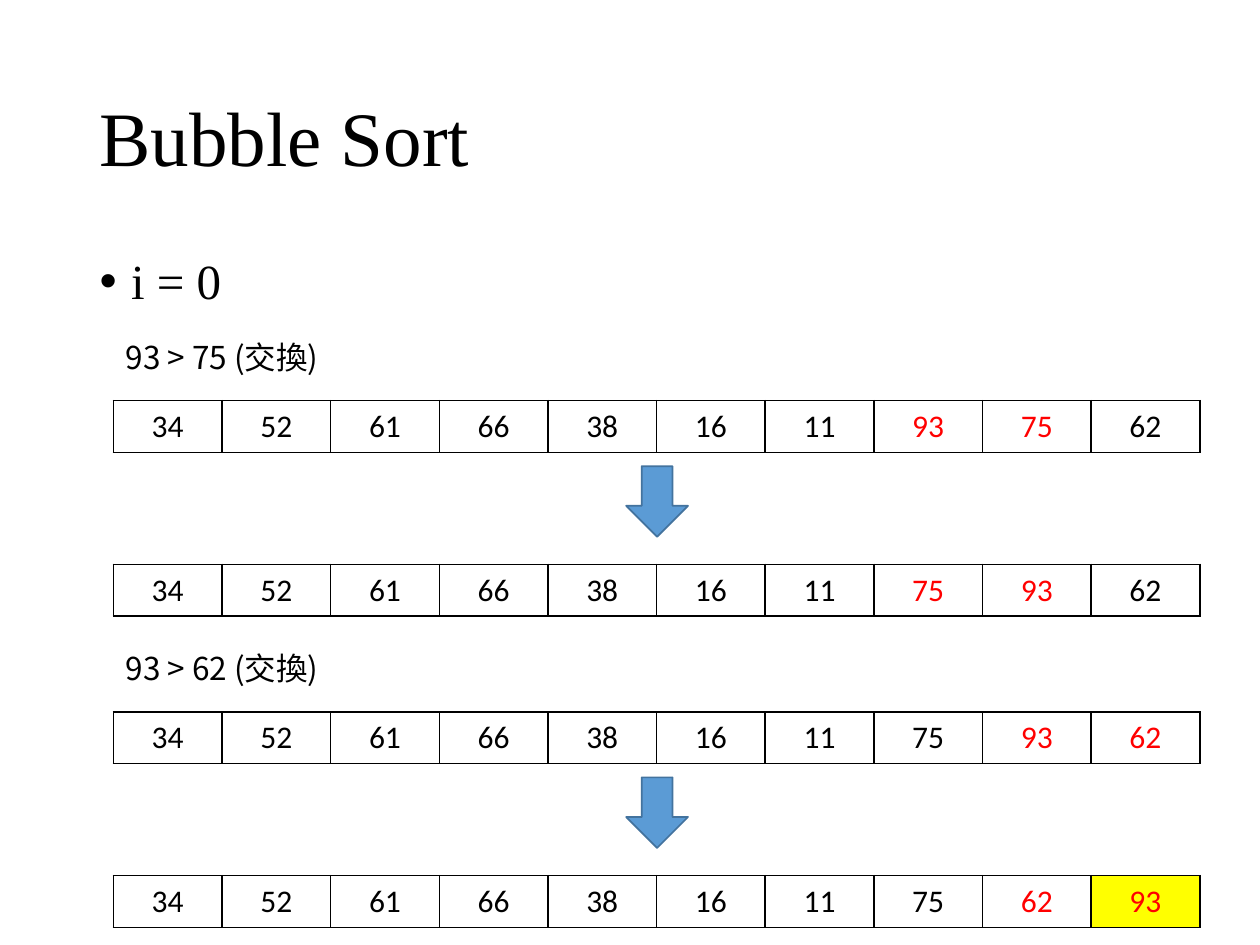
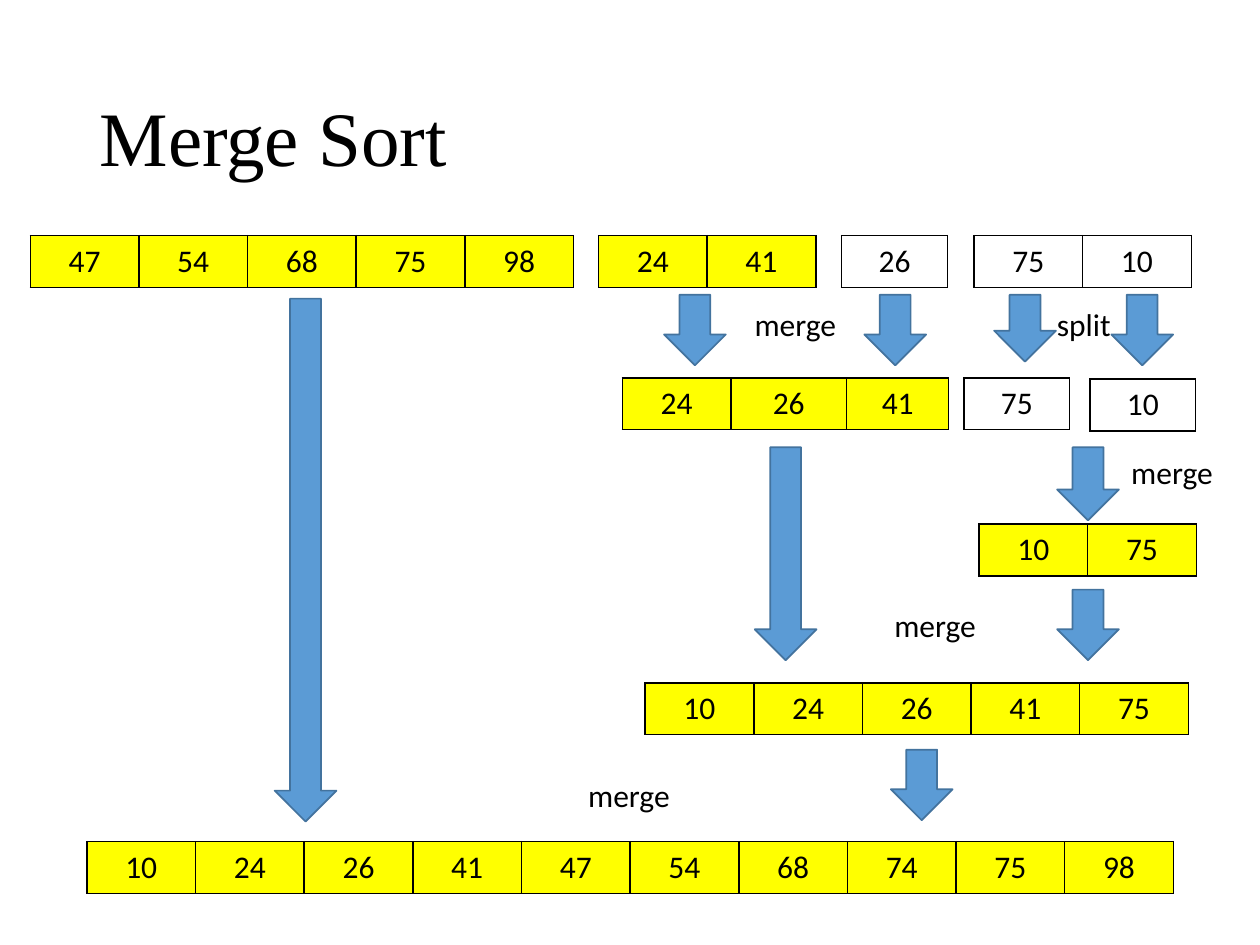
from lxml import etree
from pptx import Presentation
from pptx.dml.color import RGBColor
from pptx.enum.shapes import MSO_SHAPE
from pptx.enum.text import MSO_ANCHOR, MSO_AUTO_SIZE, PP_ALIGN
from pptx.oxml import parse_xml
from pptx.oxml.ns import nsdecls, qn
from pptx.util import Inches, Pt

DOWN = MSO_SHAPE.DOWN_ARROW
MIDDLE, TOP = MSO_ANCHOR.MIDDLE, MSO_ANCHOR.TOP
LEFT, CENTER = PP_ALIGN.LEFT, PP_ALIGN.CENTER
FIXED = MSO_AUTO_SIZE.NONE

BLACK, RED, YELLOW = "000000", "FF0000", "FFFF00"
BLUE, EDGE = "5B9BD5", "43739E"
SERIF, SANS, HAN = "Times New Roman", "Calibri", "Noto Sans CJK SC"
STEP, HIGH, WIDE = 0.8625, 0.41, 0.49

HEAD = {"name": SERIF, "size": Pt(44)}
LIST = {"name": SERIF, "size": Pt(28)}
CELL = {"name": SANS, "size": Pt(18)}
NOTE = {"name": HAN, "size": Pt(18)}


def tint(part, code):
    part.rgb = RGBColor.from_string(code)


def write(frame, text, look, side=LEFT, code=BLACK):
    par = frame.paragraphs[0]
    par.alignment = side
    run = par.add_run()
    run.text = text
    for key, value in look.items():
        setattr(run.font, key, value)
    tint(run.font.color, code)
    if look["name"] == HAN:
        east = etree.SubElement(run.font._element, qn("a:ea"))
        east.set("typeface", HAN)
    return par


# row: left, top, numbers, red cells, yellow cells, column widths
bubble = {"title": "Bubble Sort", "body": "i = 0", "rows": [], "arrows": [], "notes": []}
passes = [
    (2.63, "93 > 75 (交換)", "34 52 61 66 38 16 11 93 75 62",
     "34 52 61 66 38 16 11 75 93 62", (7, 8), ()),
    (5.1, "93 > 62 (交換)", "34 52 61 66 38 16 11 75 93 62",
     "34 52 61 66 38 16 11 75 62 93", (8, 9), (9,)),
]
for top, note, start, end, swap, done in passes:
    bubble["notes"].append((0.9, top, 2.1, note, NOTE))
    bubble["rows"].append((0.9, top + 0.55, start, swap, (), None))
    bubble["rows"].append((0.9, top + 1.85, end, swap, done, None))
    bubble["arrows"].append((4.97, top + 1.07, 0.56))

merge = {
    "title": "Merge Sort",
    "body": None,
    "rows": [
        (0.24, 1.87, "47 54 68 75 98", (), range(5), None),
        (7.73, 1.87, "75 10", (), (), None),
        (6.68, 1.87, "26", (), (), [0.84]),
        (4.75, 1.87, "24 41", (), range(2), None),
        (4.94, 3, "24 26 41", (), range(3), [0.86, 0.92, 0.81]),
        (7.65, 3, "75", (), (), [0.84]),
        (8.65, 3.01, "10", (), (), [0.84]),
        (7.77, 4.16, "10 75", (), range(2), None),
        (5.12, 5.42, "10 24 26 41 75", (), range(5), None),
        (0.69, 6.68, "10 24 26 41 47 54 68 74 75 98", (), range(10), None),
    ],
    "arrows": [
        (6.86, 2.34, 0.56), (5.27, 2.34, 0.56), (7.89, 2.34, 0.53),
        (8.82, 2.34, 0.56), (8.39, 3.55, 0.58), (5.99, 3.55, 1.69),
        (8.39, 4.68, 0.56), (2.18, 2.37, 4.15), (7.07, 5.95, 0.56),
    ],
    "notes": [
        (5.89, 2.37, 0.86, "merge", CELL), (8.29, 2.37, 0.63, "split", CELL),
        (8.88, 3.55, 0.86, "merge", CELL), (7, 4.76, 0.86, "merge", CELL),
        (4.57, 6.11, 0.86, "merge", CELL),
    ],
}

deck = Presentation()
deck.slide_width, deck.slide_height = Inches(10), Inches(7.5)

for page in (bubble, merge):
    slide = deck.slides.add_slide(deck.slide_layouts[1 if page["body"] else 5])
    shapes = slide.shapes
    holders = [(shapes.title, page["title"], HEAD, 0.4, 1.45, MIDDLE)]
    if page["body"]:
        holders.append((slide.placeholders[1], page["body"], LIST, 1.99, 4.76, TOP))
    for box, text, look, top, high, anchor in holders:
        box.left, box.top = Inches(0.69), Inches(top)
        box.width, box.height = Inches(8.62), Inches(high)
        frame = box.text_frame
        frame.auto_size, frame.vertical_anchor = FIXED, anchor
        par = write(frame, text, look)
        par.line_spacing = 0.9
        par.space_before = Pt(0)
        if look is LIST:
            props = par._p.get_or_add_pPr()
            props.set("marL", str(Inches(0.25)))
            props.set("indent", str(Inches(-0.25)))
            props.append(parse_xml(f'<a:buFont {nsdecls("a")} typeface="Arial"/>'))
            props.append(parse_xml(f'<a:buChar {nsdecls("a")} char="•"/>'))

    for left, top, text, reds, fills, widths in page["rows"]:
        items = text.split()
        widths = widths or [STEP] * len(items)
        table = shapes.add_table(1, len(items), Inches(left), Inches(top),
                                 Inches(sum(widths)), Inches(HIGH)).table
        table.first_row = table.horz_banding = False
        for i, item in enumerate(items):
            table.columns[i].width = Inches(widths[i])
            cell = table.cell(0, i)
            cell.vertical_anchor = MIDDLE
            write(cell.text_frame, item, CELL, CENTER, RED if i in reds else BLACK)
            props = cell._tc.get_or_add_tcPr()
            for side in "LRTB":
                props.append(parse_xml(
                    f'<a:ln{side} {nsdecls("a")} w="{Pt(1)}"><a:solidFill>'
                    f'<a:srgbClr val="{BLACK}"/></a:solidFill></a:ln{side}>'))
            if i in fills:
                cell.fill.solid()
                tint(cell.fill.fore_color, YELLOW)
            else:
                cell.fill.background()

    for left, top, high in page["arrows"]:
        arrow = shapes.add_shape(DOWN, Inches(left), Inches(top), Inches(WIDE), Inches(high))
        arrow.shadow.inherit = False
        arrow.fill.solid()
        tint(arrow.fill.fore_color, BLUE)
        tint(arrow.line.color, EDGE)
        arrow.line.width = Pt(1)

    for left, top, wide, text, look in page["notes"]:
        box = shapes.add_textbox(Inches(left), Inches(top), Inches(wide), Inches(0.4))
        box.text_frame.word_wrap = False
        write(box.text_frame, text, look)

deck.save("out.pptx")
